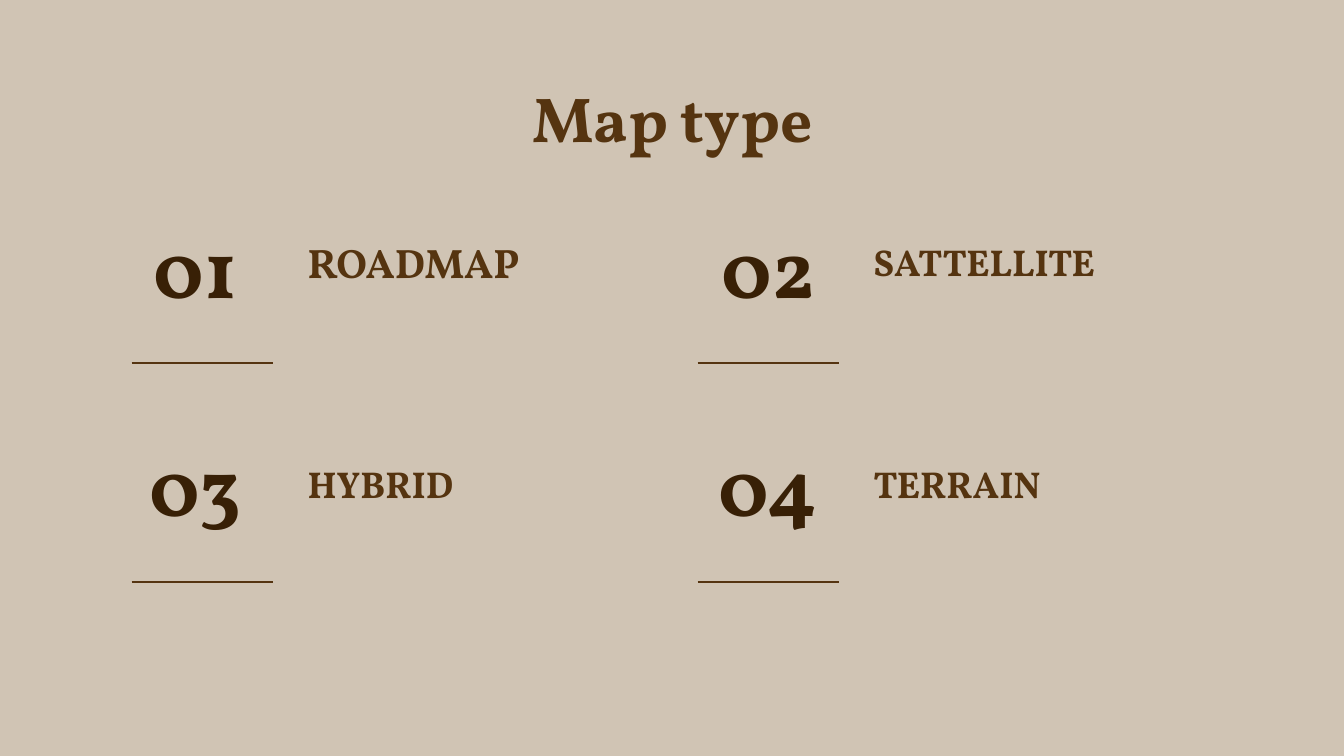
from dataclasses import dataclass

from lxml import etree
from pptx import Presentation
from pptx.dml.color import RGBColor
from pptx.enum import shapes, text
from pptx.oxml import ns
from pptx.util import Inches, Pt

SAND = RGBColor(0xD0, 0xC4, 0xB4)
BROWN = RGBColor(0x55, 0x34, 0x10)
DARK = RGBColor(0x38, 0x20, 0x06)
FONT = "Vollkorn"
MID, TOP = text.MSO_ANCHOR.MIDDLE, text.MSO_ANCHOR.TOP
LEFT, CENTER = text.PP_ALIGN.LEFT, text.PP_ALIGN.CENTER


@dataclass
class Label:
    words: str
    size: float
    color: RGBColor
    align: text.PP_ALIGN = LEFT
    anchor: text.MSO_ANCHOR = MID


@dataclass
class Track:
    """Offsets of number, rule and name along one axis."""
    num: float
    rule: float
    name: float


@dataclass
class Item:
    name: str
    size: float = 20


COLS = [Track(0.88, 0.98, 2.19), Track(5.14, 5.19, 6.4)]
ROWS = [Track(1.4, 2.7, 1.66), Track(3.02, 4.33, 3.31)]
ITEMS = [Item("ROADMAP", 22), Item("SATTELLITE"), Item("HYBRID"), Item("TERRAIN")]


def add_text(slide, label: Label, x: float, y: float, w: float, h: float) -> None:
    box = slide.shapes.add_textbox(Inches(x), Inches(y), Inches(w), Inches(h))
    frame = box.text_frame
    frame.word_wrap = True
    frame.vertical_anchor = label.anchor
    frame.margin_left = frame.margin_right = Inches(0.1)
    frame.margin_top = frame.margin_bottom = Inches(0.1)
    para = frame.paragraphs[0]
    para.alignment = label.align
    run = para.add_run()
    run.text = label.words
    run.font.name = FONT
    run.font.size = Pt(label.size)
    run.font.bold = True
    run.font.color.rgb = label.color


def add_rule(slide, x: float, y: float) -> None:
    line = slide.shapes.add_connector(
        shapes.MSO_CONNECTOR.STRAIGHT,
        Inches(x), Inches(y), Inches(x + 1.05), Inches(y))
    line.line.color.rgb = BROWN
    line.line.width = Pt(0.75)
    etree.SubElement(line._element.spPr, ns.qn("a:effectLst"))


def main() -> None:
    deck = Presentation()
    deck.slide_width = Inches(10)
    deck.slide_height = Inches(10 * 9 / 16)
    slide = deck.slides.add_slide(deck.slide_layouts[6])
    fill = slide.background.fill
    fill.solid()
    fill.fore_color.rgb = SAND

    # Heading
    add_text(slide, Label("Map type", 34, BROWN, CENTER, TOP), 0.79, 0.49, 8.43, 0.63)

    # Grid of numbered map types
    for i, item in enumerate(ITEMS):
        row, col = ROWS[i // 2], COLS[i % 2]
        num = Label(f"{i + 1:02}", 44, DARK, CENTER)
        add_text(slide, num, col.num, row.num, 1.15, 1.15)
        add_text(slide, Label(item.name, item.size, BROWN), col.name, row.name, 2.71, 0.58)
        add_rule(slide, col.rule, row.rule)

    deck.save("out.pptx")


if __name__ == "__main__":
    main()
